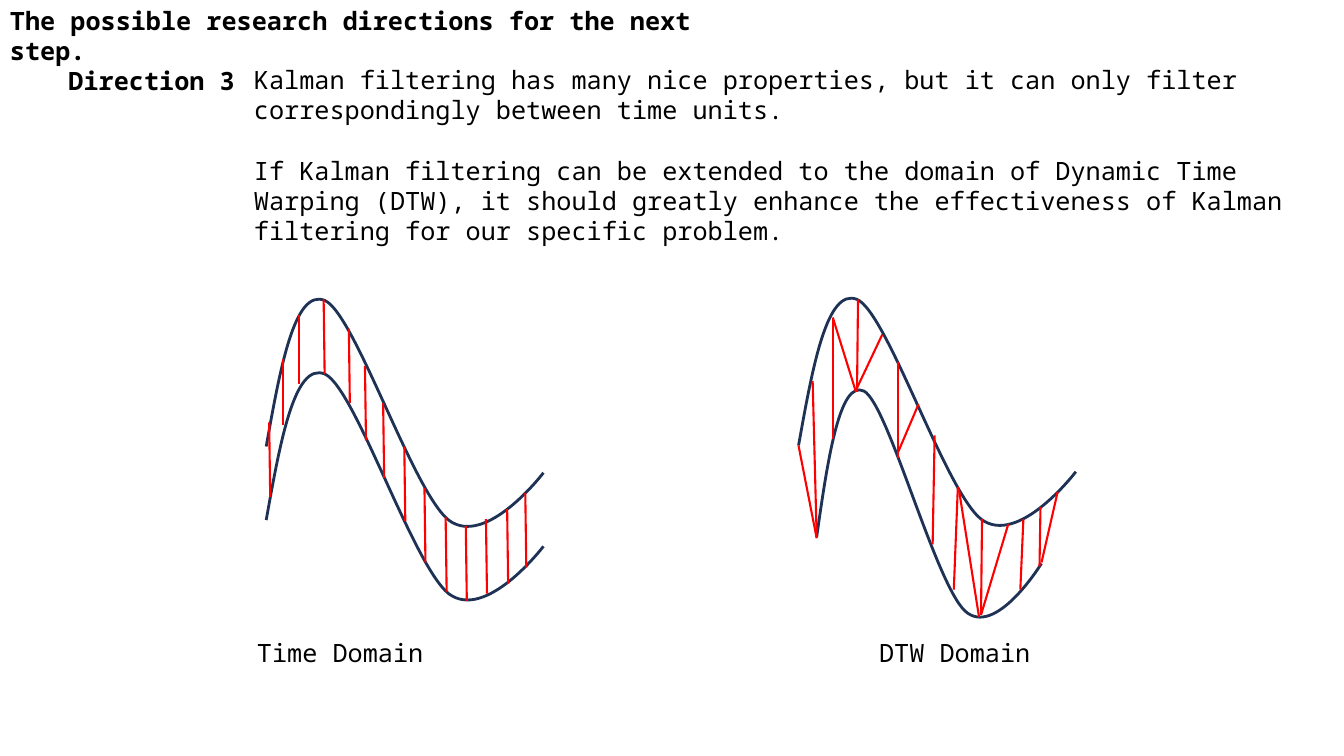
from lxml.etree import SubElement
from pptx import Presentation
from pptx.dml.color import RGBColor
from pptx.enum.shapes import MSO_CONNECTOR as Connector
from pptx.enum.text import MSO_AUTO_SIZE as AutoSize
from pptx.oxml.ns import qn
from pptx.util import Pt

PX = 9144  # 100 px to the inch
COLORS = {"text": "000000", "curve": "1E3256", "tie": "FF0000"}
FONT = "Noto Sans Mono"

# Points after the start of a wave: two controls and an end for each segment
WAVE = [
    [(14, -78), (28, -157), (58, -145)],
    [(88, -132), (145, 44), (181, 73)],
    [(218, 101), (275, 26), (275, 26)],
]

TIME_DROP = 74
TIME_TOPS = [
    (267, 419), (321, 297), (346, 326), (362, 363), (380, 400), (401, 443), (421, 484),
    (442, 513), (462, 522), (482, 515), (503, 505), (521, 489),
]
TIME_SHORT_TIES = [(281, 356, 281, 422), (297, 313, 297, 381)]

DTW_TIES = [
    (792, 442, 810, 534), (806, 378, 810, 533), (826, 315, 826, 436), (826, 315, 849, 389),
    (851, 297, 850, 388), (875, 332, 849, 387), (891, 359, 891, 454), (911, 401, 891, 448),
    (927, 432, 925, 540), (950, 483, 946, 585), (951, 485, 971, 612), (974, 515, 973, 610),
    (1000, 520, 973, 610), (1015, 515, 1012, 585), (1032, 503, 1031, 562), (1049, 488, 1033, 558),
]


class Page:
    def __init__(self, deck):
        self.shapes = deck.slides.add_slide(deck.slide_layouts[6]).shapes

    def text(self, left, top, width, height, *paragraphs, bold=False):
        box = self.shapes.add_textbox(left * PX, top * PX, width * PX, height * PX)
        frame = box.text_frame
        frame.word_wrap = True
        frame.auto_size = AutoSize.SHAPE_TO_FIT_TEXT
        for index, words in enumerate(paragraphs):
            para = frame.add_paragraph() if index else frame.paragraphs[0]
            para.text = words
            if index:
                para.space_before = Pt(21.6)
            para.font.name = FONT
            para.font.size = Pt(18)
            para.font.bold = bold
            para.font.color.rgb = RGBColor.from_string(COLORS["text"])

    def stroke(self, line, color, width):
        line.color.rgb = RGBColor.from_string(COLORS[color])
        line.width = Pt(width)

    def wave(self, left, top, stretch=1.0):
        """Draw the wave as Bezier segments, stretched sideways."""
        segments = [[(left + round(x * stretch), top + y) for x, y in part] for part in WAVE]
        ends = [part[-1] for part in segments]
        builder = self.shapes.build_freeform(left, top, scale=PX)
        builder.add_line_segments(ends, close=False)
        curve = builder.convert_to_shape()
        curve.shadow.inherit = False
        curve.fill.background()
        self.stroke(curve.line, "curve", 2)

        highest = min(top, *(y for _, y in ends))
        straights = list(curve.element.iter(qn("a:lnTo")))
        for straight, points in zip(straights, segments):
            straight.tag = qn("a:cubicBezTo")
            straight.remove(straight[0])
            for x, y in points:
                SubElement(straight, qn("a:pt"), x=str(x - left), y=str(y - highest))

    def ties(self, ends):
        """Draw the lines that pair points of two waves."""
        for end in ends:
            tie = self.shapes.add_connector(Connector.STRAIGHT, *(value * PX for value in end))
            self.stroke(tie.line, "tie", 1.5)
            SubElement(tie.element.spPr, qn("a:effectLst"))


def main():
    deck = Presentation()
    deck.slide_width, deck.slide_height = 1333 * PX, 750 * PX
    page = Page(deck)

    page.text(0, 0, 766, 40, "The possible research directions for the next step.", bold=True)
    page.text(58, 60, 669, 40, "Direction 3", bold=True)
    page.text(
        242, 59, 1091, 192,
        "Kalman filtering has many nice properties, but it can only filter "
        "correspondingly between time units.",
        "If Kalman filtering can be extended to the domain of Dynamic Time Warping (DTW), "
        "it should greatly enhance the effectiveness of Kalman filtering for our specific problem.",
    )

    page.wave(264, 443)
    page.wave(264, 516)
    page.ties(TIME_SHORT_TIES + [(x, y, x + 1, y + TIME_DROP) for x, y in TIME_TOPS])

    page.wave(792, 442)
    page.wave(810, 533, stretch=0.81)
    page.ties(DTW_TIES)

    for left, caption in ((245, "Time Domain"), (862, "DTW Domain")):
        page.text(left, 627, 300, 34, caption)

    deck.save("out.pptx")


if __name__ == "__main__":
    main()
